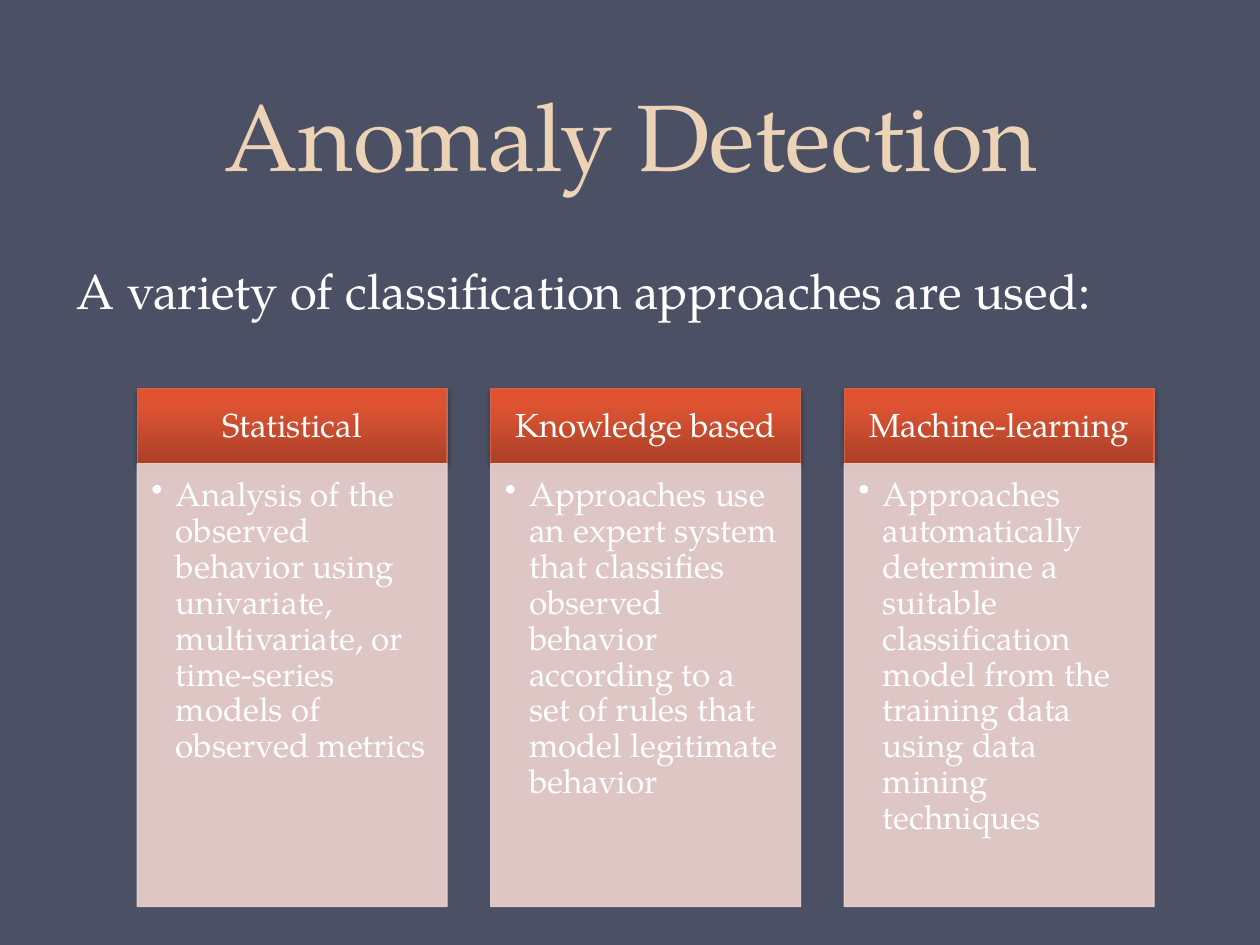
from lxml import etree
from pptx import Presentation
from pptx.dml.color import RGBColor
from pptx.enum.shapes import MSO_SHAPE
from pptx.enum.text import MSO_ANCHOR, MSO_AUTO_SIZE, PP_ALIGN
from pptx.oxml.ns import qn
from pptx.util import Pt

RECT = MSO_SHAPE.RECTANGLE
TOP, MIDDLE, BOTTOM = MSO_ANCHOR.TOP, MSO_ANCHOR.MIDDLE, MSO_ANCHOR.BOTTOM
LEFT, CENTER = PP_ALIGN.LEFT, PP_ALIGN.CENTER
FIXED = MSO_AUTO_SIZE.NONE

FONT = "TeX Gyre Pagella"
COLORS = {
    "back": "4B5064",
    "title": "EDD3B6",
    "text": "FFFFFF",
    "edge": "D16349",
    "panel": "EED3D0",
    "shade": "000000",
}
STOPS = [(0, "AB4027"), (80, "DE5433"), (100, "E35230")]

LEFT_X, STEP, WIDTH = 78.5, 202, 177
HEAD_Y, HEAD_H = 222.2, 42.8
PANEL_H = 253

COLUMNS = [
    ("Statistical",
     "Analysis of the observed behavior using univariate, multivariate, "
     "or time-series models of observed metrics"),
    ("Knowledge based",
     "Approaches use an expert system that classifies observed behavior "
     "according to a set of rules that model legitimate behavior"),
    ("Machine-learning",
     "Approaches automatically determine a suitable classification model "
     "from the training data using data mining techniques"),
]


def color(name):
    return RGBColor.from_string(COLORS[name])


def node(parent, tag, **attrs):
    return etree.SubElement(parent, qn(tag), {k: str(v) for k, v in attrs.items()})


def fade(fill_node, percent):
    tint = fill_node.find(".//" + qn("a:srgbClr"))
    node(tint, "a:alpha", val=percent * 1000)


def write(frame, text, size, tone="text", align=LEFT, anchor=TOP,
          spacing=None, bullet=None, inset=None):
    frame.word_wrap = True
    frame.auto_size = FIXED
    frame.vertical_anchor = anchor
    if inset:
        (frame.margin_left, frame.margin_top,
         frame.margin_right, frame.margin_bottom) = map(Pt, inset)
    para = frame.paragraphs[0]
    para.alignment = align
    para.space_before = Pt(0)
    para.line_spacing = spacing
    props = para._p.get_or_add_pPr()
    indent = Pt(14) if bullet else 0
    props.set("marL", str(indent))
    props.set("indent", str(-indent))
    if bullet:
        node(props, "a:buChar", char=bullet)
    else:
        node(props, "a:buNone")
    run = para.add_run()
    run.text = text
    run.font.name = FONT
    run.font.size = Pt(size)
    run.font.color.rgb = color(tone)


def place(shape, x, y, w, h):
    shape.left, shape.top, shape.width, shape.height = map(Pt, (x, y, w, h))


def add_rect(slide, x, y, h, fill, edge):
    rect = slide.shapes.add_shape(RECT, Pt(x), Pt(y), Pt(WIDTH), Pt(h))
    rect.fill.solid()
    rect.fill.fore_color.rgb = color(fill)
    rect.line.color.rgb = color(edge)
    rect.line.width = Pt(0.75)
    rect.shadow.inherit = False
    return rect


def add_head(slide, x, text):
    head = add_rect(slide, x, HEAD_Y, HEAD_H, "edge", "edge")
    props = head._element.spPr
    grad = etree.Element(qn("a:gradFill"), rotWithShape="1")
    stops = node(grad, "a:gsLst")
    for pos, tint in STOPS:
        node(node(stops, "a:gs", pos=pos * 1000), "a:srgbClr", val=tint)
    node(grad, "a:lin", ang=270 * 60000, scaled=0)
    props.replace(props.find(qn("a:solidFill")), grad)
    cast = node(props.find(qn("a:effectLst")), "a:outerShdw", blurRad=Pt(3.1),
                dist=Pt(1.8), dir=90 * 60000, rotWithShape=0)
    node(cast, "a:srgbClr", val=COLORS["shade"])
    fade(cast, 35)
    write(head.text_frame, text, 19, align=CENTER, anchor=MIDDLE,
          spacing=0.9, inset=(10.8, 6, 10.8, 6))


def add_panel(slide, x, text):
    panel = add_rect(slide, x, HEAD_Y + HEAD_H, PANEL_H, "panel", "panel")
    props = panel._element.spPr
    for tag in ("a:solidFill", "a:ln"):
        fade(props.find(qn(tag)), 90)
    write(panel.text_frame, text, 19, spacing=0.9, bullet="•",
          inset=(8, 8, 10.8, 12))


def main():
    deck = Presentation()
    deck.slide_width, deck.slide_height = Pt(720), Pt(540)
    slide = deck.slides.add_slide(deck.slide_layouts[1])
    back = slide.background.fill
    back.solid()
    back.fore_color.rgb = color("back")

    title, body = slide.placeholders
    place(title, 36.7, -13.7, 648, 126)
    write(title.text_frame, "Anomaly Detection", 54, "title", CENTER,
          BOTTOM, Pt(58))
    place(body, 36.7, 145.4, 648, 65)
    write(body.text_frame, "A variety of classification approaches are used:", 28)

    for i, (head, text) in enumerate(COLUMNS):
        x = LEFT_X + i * STEP
        add_head(slide, x, head)
        add_panel(slide, x, text)
    deck.save("out.pptx")


if __name__ == "__main__":
    main()
